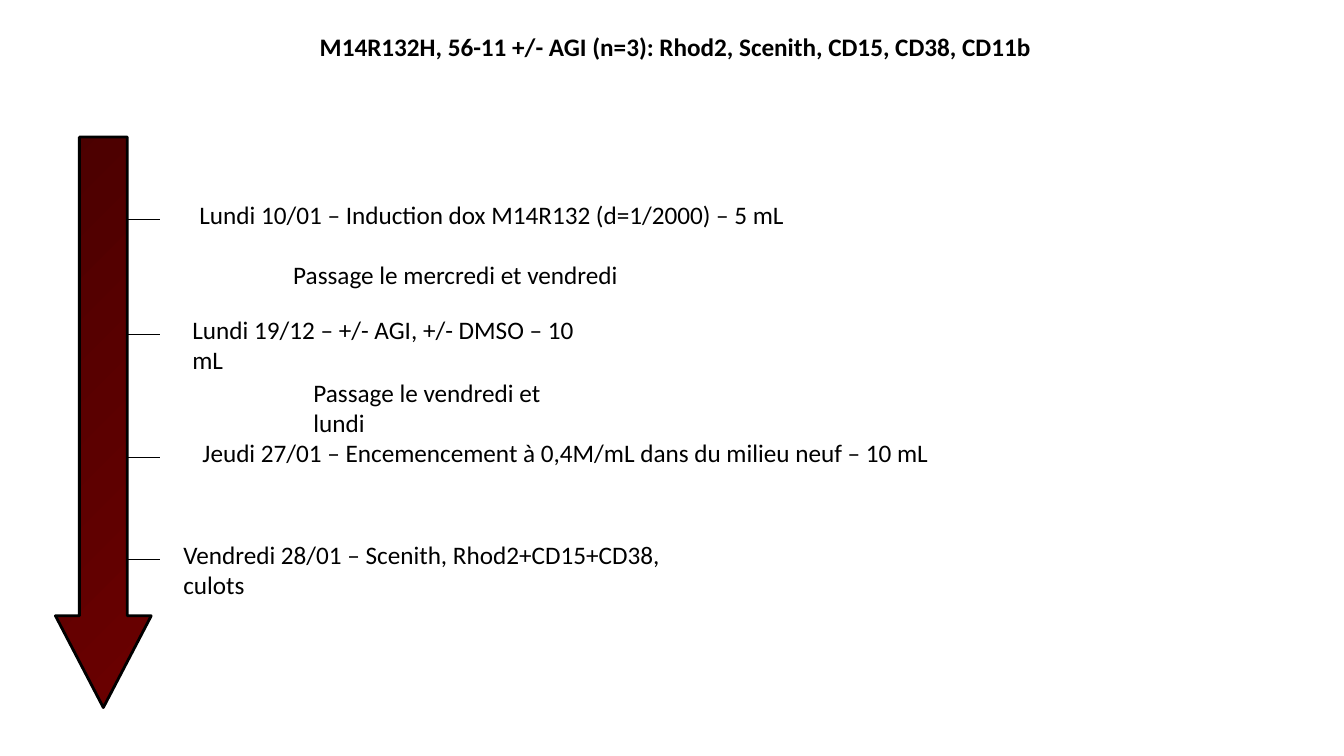
"""Build a one-slide vertical timeline of an experiment."""
from dataclasses import dataclass

from lxml.etree import SubElement
from pptx import Presentation
from pptx.dml.color import RGBColor
from pptx.enum.shapes import MSO_CONNECTOR, MSO_SHAPE
from pptx.enum.text import MSO_ANCHOR, MSO_AUTO_SIZE, PP_ALIGN
from pptx.oxml.ns import qn
from pptx.util import Inches, Pt

BLACK = RGBColor(0x00, 0x00, 0x00)
DARK_RED = RGBColor(0x4B, 0x00, 0x00)
RED = RGBColor(0x6B, 0x00, 0x00)
FONT = "Calibri"
TEXT_HEIGHT = 0.4
TICK_LEFT, TICK_RIGHT = 1.26, 1.59
TICK_OFFSET = 0.25


@dataclass
class Step:
    text: str
    left: float
    top: float
    width: float
    tick: bool = True
    wrap: bool = False


TITLE = "M14R132H, 56-11 +/- AGI (n=3): Rhod2, Scenith, CD15, CD38, CD11b"
STEPS = [
    Step("Lundi 10/01 – Induction dox M14R132 (d=1/2000) – 5 mL", 1.88, 1.93, 6),
    Step("Lundi 19/12 – +/- AGI, +/- DMSO – 10 mL", 1.81, 3.07, 4.34),
    Step("Jeudi 27/01 – Encemencement à 0,4M/mL dans du milieu neuf – 10 mL",
         1.91, 4.29, 7.41),
    Step("Vendredi 28/01 – Scenith, Rhod2+CD15+CD38, culots",
         1.72, 5.3, 5.5, wrap=True),
    Step("Passage le mercredi et vendredi", 2.81, 2.52, 3.42, tick=False),
    Step("Passage le vendredi et lundi", 3.01, 3.69, 3.01, tick=False),
]


def write_text(sp, text: str, wrap: bool, bold: bool = False,
               align: PP_ALIGN = PP_ALIGN.LEFT) -> None:
    tf = sp.text_frame
    tf.text = text
    tf.word_wrap = wrap
    tf.auto_size = MSO_AUTO_SIZE.SHAPE_TO_FIT_TEXT
    tf.vertical_anchor = MSO_ANCHOR.TOP
    p = tf.paragraphs[0]
    p.alignment = align
    p.font.name = FONT
    p.font.size = Pt(18)
    p.font.bold = bold
    p.font.color.rgb = BLACK


def add_title(s) -> None:
    sp = s.shapes.title
    sp.left, sp.top = Inches(0.55), Inches(0.26)
    sp.width, sp.height = Inches(12.3), Inches(TEXT_HEIGHT)
    write_text(sp, TITLE, wrap=True, bold=True, align=PP_ALIGN.CENTER)


def add_time_arrow(s) -> None:
    sp = s.shapes.add_shape(MSO_SHAPE.DOWN_ARROW, Inches(0.55), Inches(1.36),
                            Inches(0.95), Inches(5.66))
    sp.adjustments[0] = 0.5
    sp.adjustments[1] = 0.958
    sp.shadow.inherit = False
    sp.fill.gradient()
    sp.fill.gradient_angle = 315
    for stop, color in zip(sp.fill.gradient_stops, (DARK_RED, RED)):
        stop.color.rgb = color
    sp.line.color.rgb = BLACK
    sp.line.width = Pt(2)


def add_tick(s, y: float) -> None:
    tick = s.shapes.add_connector(MSO_CONNECTOR.STRAIGHT, Inches(TICK_LEFT),
                                  Inches(y), Inches(TICK_RIGHT), Inches(y))
    tick.line.color.rgb = BLACK
    tick.line.width = Pt(0.75)
    SubElement(tick._element.spPr, qn("a:effectLst"))


def add_step(s, step: Step) -> None:
    if step.tick:
        add_tick(s, step.top + TICK_OFFSET)
    sp = s.shapes.add_textbox(Inches(step.left), Inches(step.top),
                              Inches(step.width), Inches(TEXT_HEIGHT))
    write_text(sp, step.text, step.wrap)


def main() -> None:
    prs = Presentation()
    prs.slide_width, prs.slide_height = Inches(13.33), Inches(7.5)
    s = prs.slides.add_slide(prs.slide_layouts[5])
    add_time_arrow(s)
    add_title(s)
    for step in STEPS:
        add_step(s, step)
    prs.save("out.pptx")


if __name__ == "__main__":
    main()
